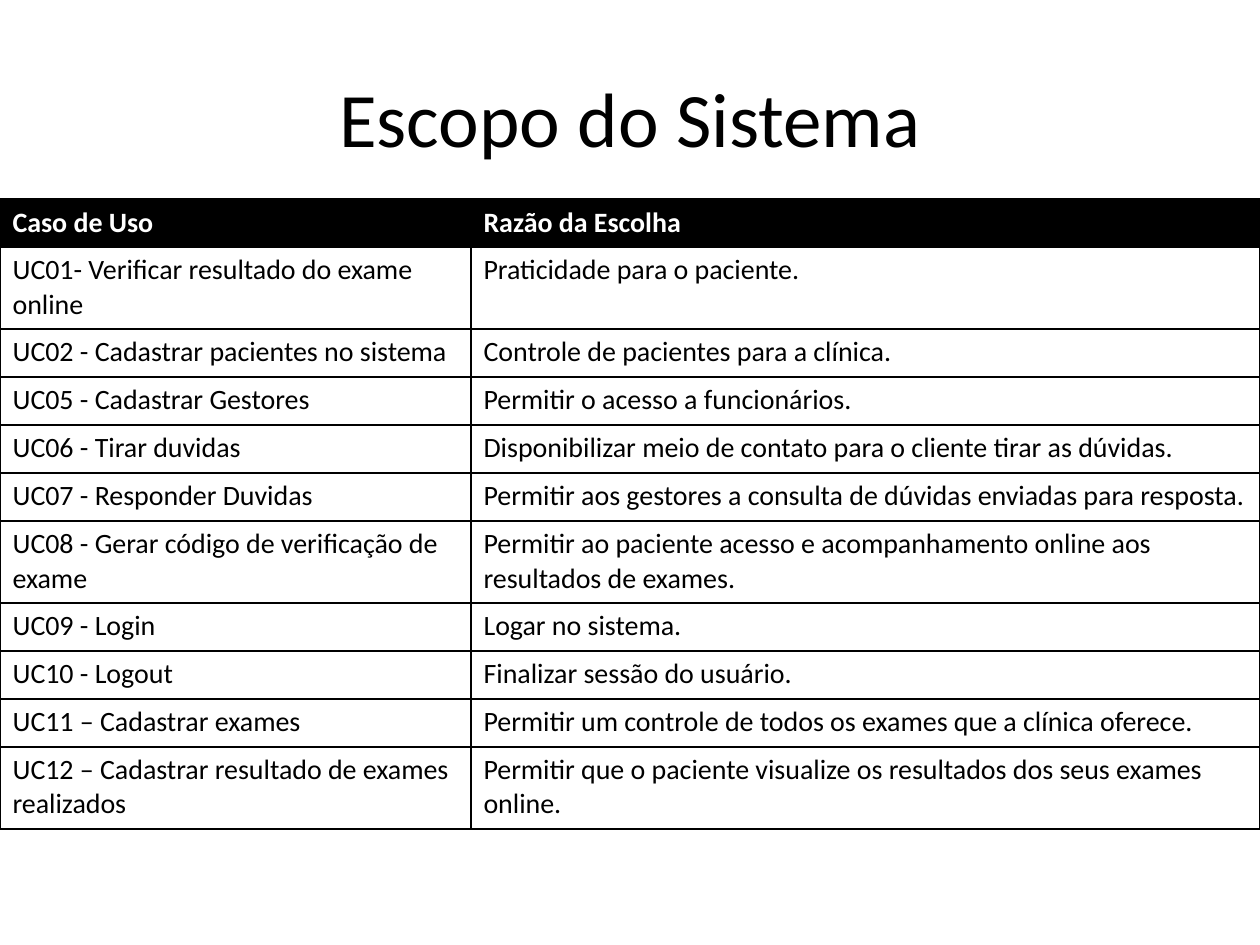
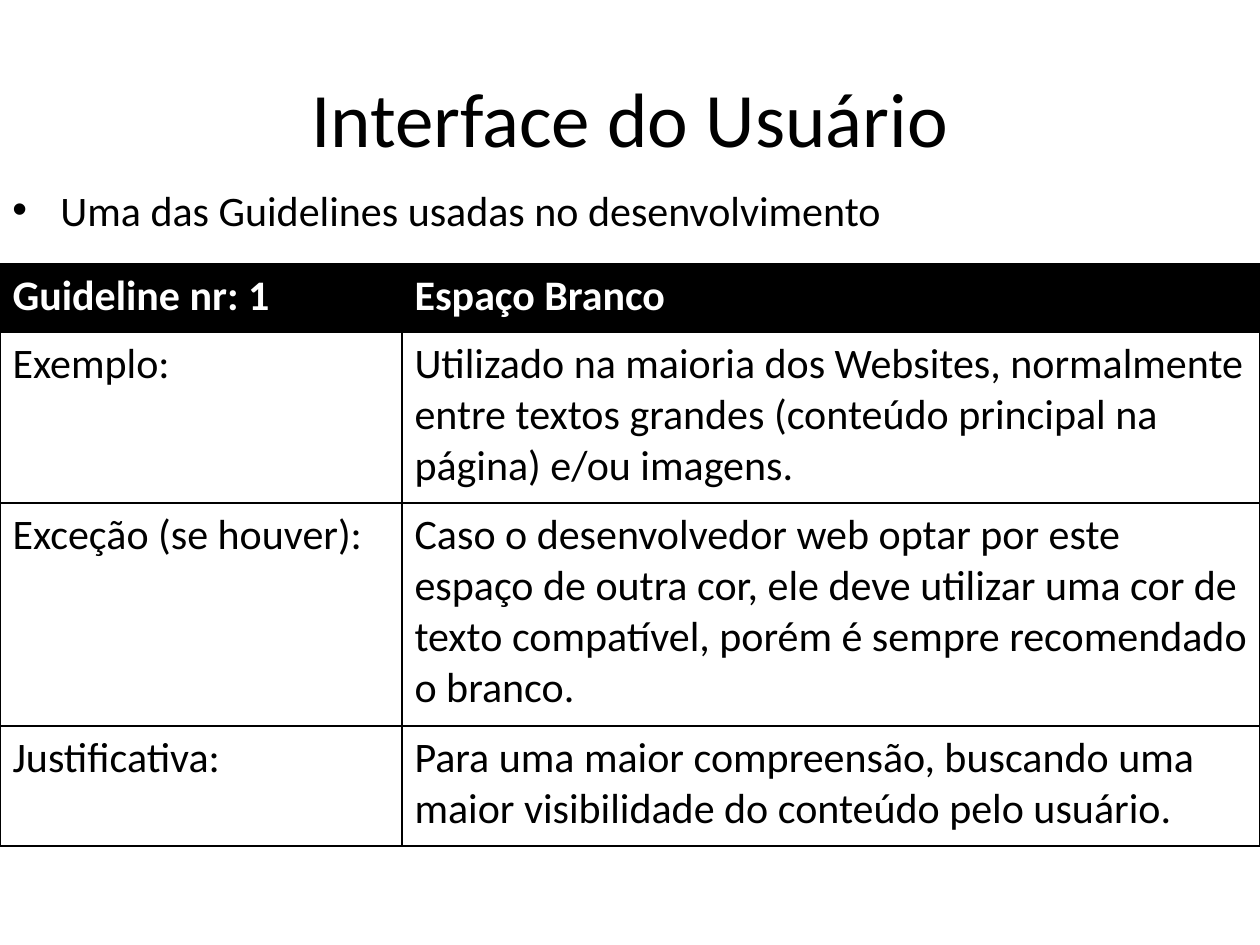
import pptx
import pptx.util
import pptx.dml.color
import pptx.enum.text
import pptx.oxml
import pptx.oxml.ns
from dataclasses import dataclass
from lxml import etree


@dataclass(frozen=True)
class Theme:
    font: str = "Calibri"
    ink: str = "000000"
    paper: str = "FFFFFF"
    title: int = 44
    body: int = 24
    small: int = 16
    rule: int = 1


THEME = Theme()
WIDE, HIGH = 1260, 945
TITLE = (63, 38, 1134, 157)
ALIGN = pptx.enum.text.PP_ALIGN
ANCHOR = pptx.enum.text.MSO_ANCHOR

SCOPE = [
    ("Caso de Uso", "Razão da Escolha"),
    ("UC01- Verificar resultado do exame online", "Praticidade para o paciente."),
    ("UC02 - Cadastrar pacientes no sistema", "Controle de pacientes para a clínica."),
    ("UC05 - Cadastrar Gestores", "Permitir o acesso a funcionários."),
    ("UC06 - Tirar duvidas", "Disponibilizar meio de contato para o cliente tirar as dúvidas."),
    ("UC07 - Responder Duvidas",
     "Permitir aos gestores a consulta de dúvidas enviadas para resposta."),
    ("UC08 - Gerar código de verificação de exame",
     "Permitir ao paciente acesso e acompanhamento online aos resultados de exames."),
    ("UC09 - Login", "Logar no sistema."),
    ("UC10 - Logout", "Finalizar sessão do usuário."),
    ("UC11 – Cadastrar exames", "Permitir um controle de todos os exames que a clínica oferece."),
    ("UC12 – Cadastrar resultado de exames realizados",
     "Permitir que o paciente visualize os resultados dos seus exames online."),
]
SCOPE_ROWS = [48, 82, 48, 48, 48, 48, 82, 48, 48, 48, 82]

GUIDE = [
    ("Guideline nr: 1", "Espaço Branco"),
    ("Exemplo:",
     "Utilizado na maioria dos Websites, normalmente entre textos grandes "
     "(conteúdo principal na página) e/ou imagens."),
    ("Exceção (se houver):",
     "Caso o desenvolvedor web optar por este espaço de outra cor, ele deve utilizar "
     "uma cor de texto compatível, porém é sempre recomendado o branco."),
    ("Justificativa:",
     "Para uma maior compreensão, buscando uma maior visibilidade do conteúdo pelo usuário."),
]
GUIDE_ROWS = [68, 171, 223, 120]


def px(size):
    return round(size * 914400 / 126)


def tint(code):
    return pptx.dml.color.RGBColor.from_string(code)


def write(frame, text, size=THEME.body, color=THEME.ink, bold=False, align=ALIGN.LEFT):
    frame.word_wrap = True
    para = frame.paragraphs[0]
    para.alignment = align
    run = para.add_run()
    run.text = text
    run.font.name = THEME.font
    run.font.size = pptx.util.Pt(size)
    run.font.bold = bold
    run.font.color.rgb = tint(color)
    return para


def label(slide, box, text, **style):
    frame = slide.shapes.add_textbox(*map(px, box)).text_frame
    frame.vertical_anchor = ANCHOR.MIDDLE
    return write(frame, text, **style)


def bullet(slide, box, text):
    props = label(slide, box, text)._p.get_or_add_pPr()
    props.set("marL", str(px(48)))
    props.set("indent", str(px(-48)))
    font = etree.SubElement(props, pptx.oxml.ns.qn("a:buFont"))
    font.set("typeface", "Arial")
    etree.SubElement(props, pptx.oxml.ns.qn("a:buChar")).set("char", "•")


def border(cell):
    props = cell._tc.get_or_add_tcPr()
    for spot, side in enumerate("LRTB"):
        line = pptx.oxml.parse_xml(
            f'<a:ln{side} {pptx.oxml.ns.nsdecls("a")} w="{pptx.util.Pt(THEME.rule)}">'
            f'<a:solidFill><a:srgbClr val="{THEME.ink}"/></a:solidFill></a:ln{side}>')
        props.insert(spot, line)


def grid(slide, box, data, cols, rows, size):
    table = slide.shapes.add_table(len(rows), len(cols), *map(px, box)).table
    for col, width in zip(table.columns, cols):
        col.width = px(width)
    for row, height in zip(table.rows, rows):
        row.height = px(height)
    for r, texts in enumerate(data):
        head = r == 0
        for c, text in enumerate(texts):
            cell = table.cell(r, c)
            cell.fill.solid()
            cell.fill.fore_color.rgb = tint(THEME.ink if head else THEME.paper)
            write(cell.text_frame, text, size=size, bold=head,
                  color=THEME.paper if head else THEME.ink)
            border(cell)


def page(deck, title):
    slide = deck.slides.add_slide(deck.slide_layouts[6])
    label(slide, TITLE, title, size=THEME.title, align=ALIGN.CENTER)
    return slide


def scope(deck):
    slide = page(deck, "Escopo do Sistema")
    grid(slide, (0, 199, WIDE, sum(SCOPE_ROWS)), SCOPE, (471, 789), SCOPE_ROWS, THEME.small)


def guide(deck):
    slide = page(deck, "Interface do Usuário")
    grid(slide, (0, 264, WIDE, sum(GUIDE_ROWS)), GUIDE, (402, 858), GUIDE_ROWS, THEME.body)
    bullet(slide, (0, 145, 1126, 129), "Uma das Guidelines usadas no desenvolvimento")


def main():
    deck = pptx.Presentation()
    deck.slide_width, deck.slide_height = px(WIDE), px(HIGH)
    scope(deck)
    guide(deck)
    deck.save("out.pptx")


if __name__ == "__main__":
    main()
